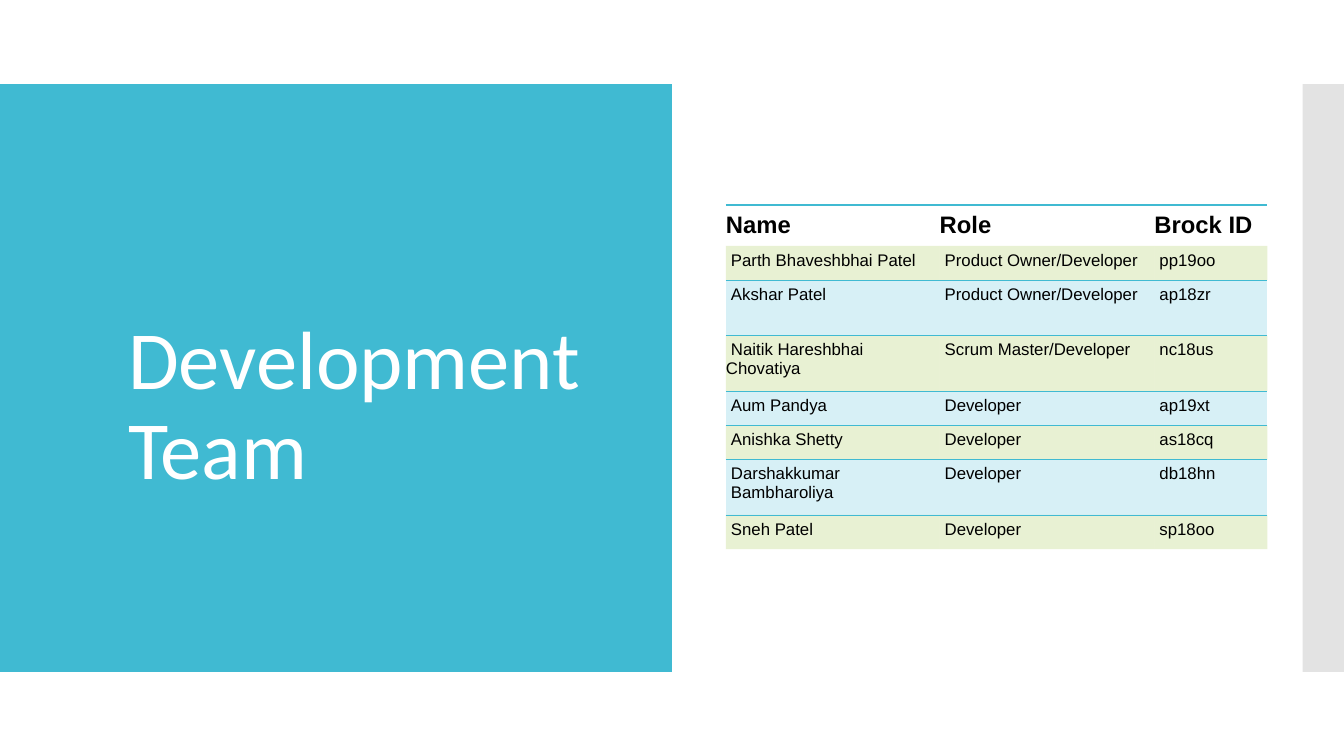
from lxml import etree
from pptx import Presentation
from pptx.dml.color import RGBColor
from pptx.enum.shapes import MSO_SHAPE
from pptx.enum.text import MSO_ANCHOR, MSO_AUTO_SIZE, PP_ALIGN
from pptx.oxml.ns import qn
from pptx.util import Inches, Pt

RECT = MSO_SHAPE.RECTANGLE
LEFT = PP_ALIGN.LEFT
MIDDLE, BOTTOM = MSO_ANCHOR.MIDDLE, MSO_ANCHOR.BOTTOM
NO_FIT = MSO_AUTO_SIZE.NONE

TITLE = "Development Team"
HEAD = ("Name", "Role", "Brock ID")
TEAM = [
    ("Parth Bhaveshbhai Patel", "Product Owner/Developer", "pp19oo"),
    ("Akshar Patel", "Product Owner/Developer", "ap18zr"),
    ("Naitik Hareshbhai Chovatiya", "Scrum Master/Developer", "nc18us"),
    ("Aum Pandya", "Developer", "ap19xt"),
    ("Anishka Shetty", "Developer", "as18cq"),
    ("Darshakkumar Bambharoliya", "Developer", "db18hn"),
    ("Sneh Patel", "Developer", "sp18oo"),
]
COLOR = {"teal": "40BAD2", "green": "90BB23", "pale": "D7F0F6",
         "gray": "C8C8C8", "white": "FFFFFF", "black": "000000"}
WIDE, HIGH = 13.33, 7.5
BAND_TOP, BAND_HIGH = HIGH / 9, HIGH * 7 / 9
COLS = (2.12, 2.13, 1.12)
LOW, TALL = 0.34, 0.55
ROWS = (0.41, LOW, TALL, TALL, LOW, LOW, TALL, LOW)
PAD = 0.05
NO_GRID = "{2D5ABB26-0587-4C30-8999-92F81FD0307C}"


def rgb(name):
    return RGBColor.from_string(COLOR[name])


def paint(fill, name, holder, alpha=None):
    """Fill with a colour; alpha is the opacity in percent."""
    fill.solid()
    fill.fore_color.rgb = rgb(name)
    if alpha:
        tint = holder.find(qn("a:solidFill"))[0]
        etree.SubElement(tint, qn("a:alpha"), val=str(alpha * 1000))


def add_band(slide, left, width, name, alpha=None):
    band = slide.shapes.add_shape(RECT, Inches(left), Inches(BAND_TOP),
                                  Inches(width), Inches(BAND_HIGH))
    band.shadow.inherit = False
    band.line.fill.background()
    paint(band.fill, name, band._element.spPr, alpha)


def rule_top(cell, points):
    """Draw a teal line along the top of a cell."""
    line = etree.Element(qn("a:lnT"), w=str(Pt(points)))
    fill = etree.SubElement(line, qn("a:solidFill"))
    etree.SubElement(fill, qn("a:srgbClr"), val=COLOR["teal"])
    cell._tc.get_or_add_tcPr().insert(0, line)


def fill_cell(cell, text, row):
    head, green = row == 0, row % 2 == 1
    cell.text = text
    para = cell.text_frame.paragraphs[0]
    cell.margin_left = Inches(0 if head or green else PAD)
    cell.margin_right = Inches(0.01 if head else 2 * PAD)
    cell.margin_top = cell.margin_bottom = Inches(PAD)
    font = para.runs[0].font
    font.name, font.size, font.bold = "Arial", Pt(17 if head else 12), head
    font.color.rgb = rgb("black")
    if head:
        cell.vertical_anchor = MIDDLE
        cell.fill.background()
        rule_top(cell, 1.5)
    elif green:
        para._p.get_or_add_pPr().set("indent", str(Inches(PAD)))
        paint(cell.fill, "green", cell._tc.get_or_add_tcPr(), 20)
    else:
        paint(cell.fill, "pale", cell._tc.get_or_add_tcPr())
        rule_top(cell, 0.75)


def add_team(slide):
    frame = slide.shapes.add_table(len(ROWS), len(COLS), Inches(7.2), Inches(2.03),
                                   Inches(sum(COLS)), Inches(sum(ROWS)))
    table = frame.table
    table.first_row = table.horz_banding = False
    table._tbl.tblPr.find(qn("a:tableStyleId")).text = NO_GRID
    for col, width in zip(table.columns, COLS):
        col.width = Inches(width)
    for r, (height, texts) in enumerate(zip(ROWS, [HEAD] + TEAM)):
        table.rows[r].height = Inches(height)
        for c, text in enumerate(texts):
            fill_cell(table.cell(r, c), text, r)


def set_title(slide):
    title = slide.shapes.title
    title.left, title.top = Inches(1.17), Inches(1.42)
    title.width, title.height = Inches(5.15), Inches(3.56)
    frame = title.text_frame
    frame.text = TITLE
    frame.word_wrap, frame.auto_size = True, NO_FIT
    frame.vertical_anchor = BOTTOM
    para = frame.paragraphs[0]
    para.alignment, para.line_spacing = LEFT, 0.9
    font = para.runs[0].font
    font.name, font.size = "Calibri", Pt(59)
    font.color.rgb = rgb("white")
    slide.shapes._spTree.append(title._element)


def main():
    deck = Presentation()
    deck.slide_width, deck.slide_height = Inches(WIDE), Inches(HIGH)
    slide = deck.slides.add_slide(deck.slide_layouts[5])
    add_band(slide, 0, WIDE / 2, "teal")
    set_title(slide)
    add_band(slide, 12.92, WIDE - 12.92, "gray", 50)
    add_team(slide)
    deck.save("out.pptx")


if __name__ == "__main__":
    main()
